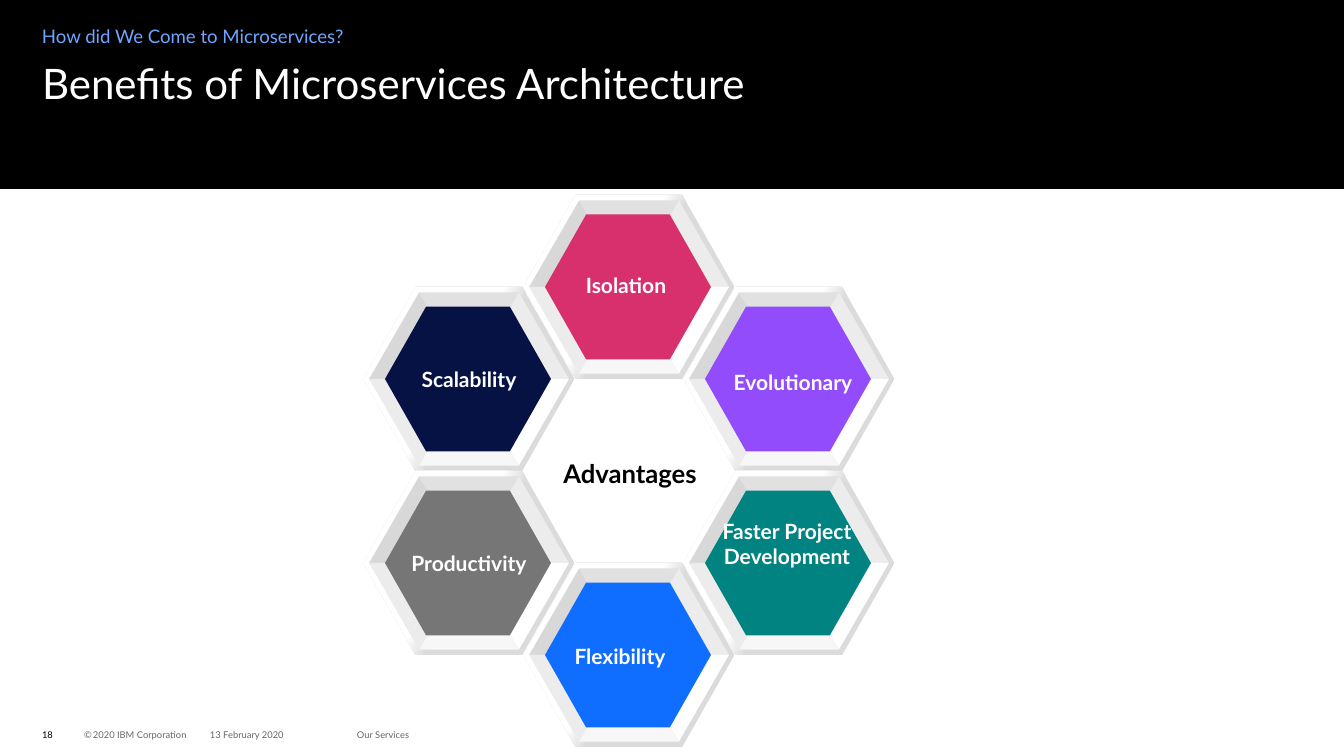
from math import cos, radians, sin

from pptx import Presentation
from pptx.dml.color import RGBColor
from pptx.enum.shapes import MSO_SHAPE
from pptx.enum.text import MSO_ANCHOR, MSO_AUTO_SIZE, PP_ALIGN
from pptx.util import Pt

RECT = MSO_SHAPE.RECTANGLE
HEX = MSO_SHAPE.HEXAGON
WEDGE = MSO_SHAPE.ISOSCELES_TRIANGLE
TOP, MIDDLE = MSO_ANCHOR.TOP, MSO_ANCHOR.MIDDLE
LEFT, CENTER = PP_ALIGN.LEFT, PP_ALIGN.CENTER
FIXED = MSO_AUTO_SIZE.NONE

BLACK = RGBColor(0x00, 0x00, 0x00)
WHITE = RGBColor(0xFF, 0xFF, 0xFF)
SKY = RGBColor(0x6E, 0xA6, 0xFF)
GREY = RGBColor(0x66, 0x66, 0x66)
EDGE = RGBColor(0xDB, 0xDB, 0xDB)
NAVY = RGBColor(0x05, 0x12, 0x43)
PINK = RGBColor(0xD7, 0x30, 0x6D)
STONE = RGBColor(0x76, 0x76, 0x76)
BLUE = RGBColor(0x0F, 0x6D, 0xFF)
PURPLE = RGBColor(0x92, 0x4C, 0xFC)
TEAL = RGBColor(0x00, 0x83, 0x81)
PALE = RGBColor(0xEC, 0xEC, 0xEC)
FACETS = [RGBColor(0xD8, 0xD8, 0xD8), RGBColor(0xE1, 0xE1, 0xE1), PALE,
          WHITE, RGBColor(0xF7, 0xF7, 0xF7), PALE]

SCALE = 914400 / 84
COL, ROW = 160, 92
RADIUS = 43

CELLS = [
    ("Scalability", NAVY, -1, -1, (0, 1, 143, 34)),
    ("Isolation", PINK, 0, -2, (-3, -1, 137, 34)),
    ("Productivity", STONE, -1, 1, (0, 1, 142, 34)),
    ("Flexibility", BLUE, 0, 2, (-9, 2, 129, 34)),
    ("Evolutionary", PURPLE, 1, -1, (4, 4, 142, 34)),
    ("Faster Project Development", TEAL, 1, 1, (-2, -6, 150, 85)),
]


def px(n):
    return round(n * SCALE)


def style(item, **values):
    for name, value in values.items():
        setattr(item, name, value)


def around(x, y, w, h):
    return x - w / 2, y - h / 2, w, h


def write(shape, runs, color, bold=False, anchor=TOP, align=LEFT, lines=1.0, pad=(0, 0)):
    frame = shape.text_frame
    style(frame, word_wrap=True, auto_size=FIXED, vertical_anchor=anchor,
          margin_left=px(pad[0]), margin_right=px(pad[0]),
          margin_top=px(pad[1]), margin_bottom=px(pad[1]))
    para = frame.paragraphs[0]
    style(para, alignment=align, line_spacing=lines)
    for text, size in runs:
        run = para.add_run()
        run.text = text
        style(run.font, name="Lato", size=Pt(size), bold=bold)
        run.font.color.rgb = color


def label(shapes, box, runs, color, **look):
    write(shapes.add_textbox(*map(px, box)), runs, color, **look)


def solid(shapes, kind, box, color, turn=0):
    shape = shapes.add_shape(kind, *map(px, box))
    shape.shadow.inherit = False
    shape.line.fill.background()
    shape.fill.solid()
    shape.fill.fore_color.rgb = color
    shape.rotation = turn
    if kind == HEX:
        shape.adjustments[0] = 0.284
    return shape


def header(slide, box):
    x, y, w, h = box
    band = solid(slide.shapes, RECT, box, BLACK)
    title = slide.shapes.title
    title._element.addprevious(band._element)
    label(slide.shapes, (x + 42, y + 24, 605, 25),
          [("How did We Come to Microservices?", 16)], SKY, lines=1.05)
    place = dict(zip(("left", "top", "width", "height"),
                     map(px, (x + 42, y + 63, w - 84, 105))))
    style(title, **place)
    write(title, [("Benefits of Microservices Architecture", 36)], WHITE, lines=0.9)


def cell(shapes, x, y, color):
    rim = solid(shapes, HEX, around(x, y, 211, 184), EDGE)
    rim.fill.gradient()
    rim.fill.gradient_angle = 150
    for stop, (spot, tint) in zip(rim.fill.gradient_stops, [(0.47, EDGE), (0.56, WHITE)]):
        stop.position = spot
        stop.color.rgb = tint
    for i, tint in enumerate(FACETS):
        angle = 60 * i - 150
        mid_x = x + RADIUS * cos(radians(angle))
        mid_y = y + RADIUS * sin(radians(angle))
        solid(shapes, WEDGE, around(mid_x, mid_y, 100, 87), tint, (angle + 270) % 360)
    solid(shapes, HEX, around(x - 1, y, 166, 145), color)


def ring(slide, box):
    x, y, w, h = box
    mid_x, mid_y = x + w / 2, y + h / 2
    shapes = slide.shapes.add_group_shape().shapes
    solid(shapes, HEX, around(mid_x, mid_y + 3, 214, 187), WHITE)
    for text, color, col, row, area in CELLS:
        cell(shapes, mid_x + col * COL, mid_y + row * ROW, color)
    look = dict(bold=True, align=CENTER, pad=(8, 4))
    for text, color, col, row, (dx, dy, wide, high) in CELLS:
        spot = around(mid_x + col * COL + dx, mid_y + row * ROW + dy, wide, high)
        label(shapes, spot, [(text, 18)], WHITE, **look)
    label(shapes, around(mid_x + 1, mid_y + 2, 164, 39), [("Advantages", 22)], BLACK, **look)


def footer(slide, box):
    x, y, w, h = box
    parts = [
        (0, 30, [("18", 8)], BLACK),
        (42, 120, [("©", 8), (" ", 4), ("2020 IBM Corporation", 8)], GREY),
        (168, 124, [("13 February 2020", 8)], GREY),
        (315, 210, [("Our Services", 8)], GREY),
    ]
    for left, wide, runs, color in parts:
        label(slide.shapes, (x + left, y, wide, h), runs, color, anchor=MIDDLE)


def main():
    deck = Presentation()
    style(deck, slide_width=px(1344), slide_height=px(756))
    slide = deck.slides.add_slide(deck.slide_layouts[5])
    header(slide, (0, 0, 1344, 189))
    footer(slide, (42, 725, 525, 20))
    ring(slide, (364, 195, 530, 552))
    deck.save("out.pptx")


if __name__ == "__main__":
    main()
